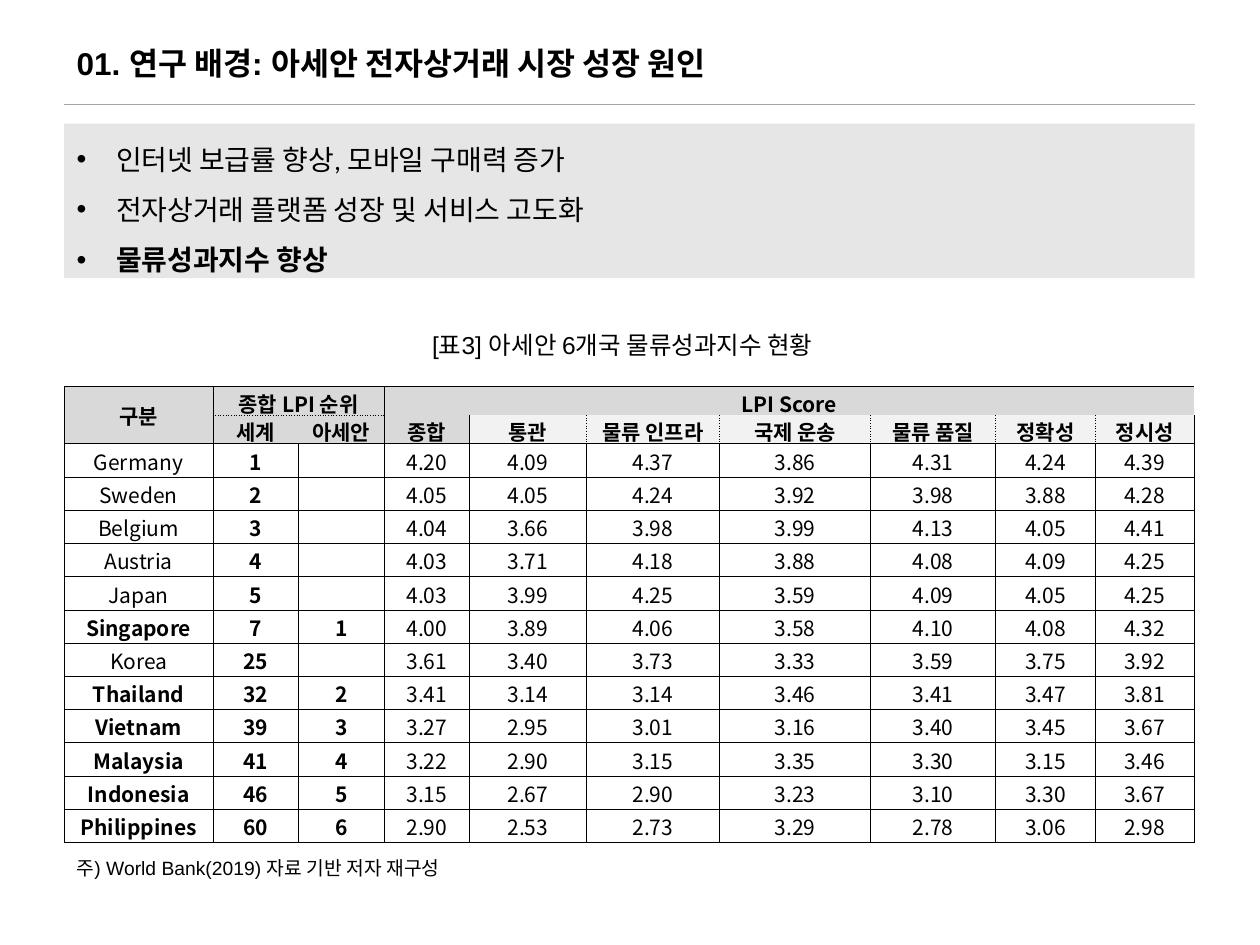
from lxml import etree
from pptx import Presentation
from pptx.dml.color import RGBColor
from pptx.enum.shapes import MSO_CONNECTOR, MSO_SHAPE
from pptx.enum.text import MSO_ANCHOR, MSO_AUTO_SIZE, PP_ALIGN
from pptx.oxml.ns import qn
from pptx.util import Pt

RECT, LINE = MSO_SHAPE.RECTANGLE, MSO_CONNECTOR.STRAIGHT
TOP, MID = MSO_ANCHOR.TOP, MSO_ANCHOR.MIDDLE
LEFT, MIDDLE = PP_ALIGN.LEFT, PP_ALIGN.CENTER
GROW = MSO_AUTO_SIZE.SHAPE_TO_FIT_TEXT

COLORS = {"ink": "000000", "rule": "A6A6A6", "panel": "E7E6E6",
          "head": "D9D9D9", "sub": "F2F2F2"}
CJK = "Noto Sans CJK KR"
EDGE, WIDE = 36.7, 646

POINTS = [("인터넷 보급률 향상, 모바일 구매력 증가", False),
          ("전자상거래 플랫폼 성장 및 서비스 고도화", False),
          ("물류성과지수 향상", True)]
COLS = [85, 48.9, 48.9, 48.9, 66.5, 76.4, 86.2, 71.6, 56.8, 56.8]
ROWS = [16.35] * 2 + [19] * 12
HEAD = [["구분", "종합 LPI 순위", "", "LPI Score"] + [""] * 6,
        ["", "세계", "아세안", "종합", "통관", "물류 인프라", "국제 운송",
         "물류 품질", "정확성", "정시성"]]
SPANS = [((0, 0), (1, 0)), ((0, 1), (0, 2)), ((0, 3), (0, 9))]
SCORES = """Germany 1 - 4.20 4.09 4.37 3.86 4.31 4.24 4.39
Sweden 2 - 4.05 4.05 4.24 3.92 3.98 3.88 4.28
Belgium 3 - 4.04 3.66 3.98 3.99 4.13 4.05 4.41
Austria 4 - 4.03 3.71 4.18 3.88 4.08 4.09 4.25
Japan 5 - 4.03 3.99 4.25 3.59 4.09 4.05 4.25
Singapore 7 1 4.00 3.89 4.06 3.58 4.10 4.08 4.32
Korea 25 - 3.61 3.40 3.73 3.33 3.59 3.75 3.92
Thailand 32 2 3.41 3.14 3.14 3.46 3.41 3.47 3.81
Vietnam 39 3 3.27 2.95 3.01 3.16 3.40 3.45 3.67
Malaysia 41 4 3.22 2.90 3.15 3.35 3.30 3.15 3.46
Indonesia 46 5 3.15 2.67 2.90 3.23 3.10 3.30 3.67
Philippines 60 6 2.90 2.53 2.73 3.29 2.78 3.06 2.98"""
DASH = {"s": "solid", "d": "sysDot"}
UPRIGHT = {0: "ss.s......s", 1: "ss.ssddddds"}
LEVEL = {1: ".dd......."}


def color(name):
    return RGBColor.from_string(COLORS[name])


def write(para, text, size=12, font=CJK, bold=False, align=LEFT):
    para.alignment = align
    if not text:
        para._p.get_or_add_endParaRPr().set("sz", str(size * 100))
        return
    run = para.add_run()
    run.text = text
    run.font.size, run.font.name, run.font.bold = Pt(size), font, bold
    run.font.color.rgb = color("ink")
    etree.SubElement(run._r.get_or_add_rPr(), qn("a:ea"), typeface=CJK)


class Deck:
    """Holds the style and the current slide."""

    def __init__(self):
        self.show = Presentation()
        self.show.slide_width, self.show.slide_height = Pt(720), Pt(540)
        self.slide = self.show.slides.add_slide(self.show.slide_layouts[6])
        self.shapes = self.slide.shapes

    def rule(self, left, top, width):
        line = self.shapes.add_connector(
            LINE, Pt(left), Pt(top), Pt(left + width), Pt(top))
        line.line.color.rgb, line.line.width = color("rule"), Pt(0.5)
        etree.SubElement(line._element.spPr, qn("a:effectLst"))

    def label(self, left, top, width, height, text, **style):
        box = self.shapes.add_textbox(Pt(left), Pt(top), Pt(width), Pt(height))
        frame = box.text_frame
        frame.word_wrap, frame.auto_size = True, GROW
        write(frame.paragraphs[0], text, font="Arial", **style)

    def panel(self, left, top, width, height, points):
        box = self.shapes.add_shape(
            RECT, Pt(left), Pt(top), Pt(width), Pt(height))
        box.shadow.inherit = False
        box.fill.solid()
        box.fill.fore_color.rgb = color("panel")
        box.line.fill.background()
        frame = box.text_frame
        frame.word_wrap, frame.vertical_anchor = True, MID
        for i, (text, bold) in enumerate(points):
            para = frame.add_paragraph() if i else frame.paragraphs[0]
            write(para, text, size=16, font="Calibri", bold=bold)
            para.line_spacing = 1.5
            props = para._p.get_or_add_pPr()
            props.set("marL", str(Pt(22.5)))
            props.set("indent", str(-Pt(22.5)))
            etree.SubElement(props, qn("a:buFont"), typeface="Arial")
            etree.SubElement(props, qn("a:buChar"), char="•")

    def border(self, cell, kinds):
        props = cell._tc.get_or_add_tcPr()
        for i, (side, kind) in enumerate(zip("LRTB", kinds)):
            line = etree.Element(qn("a:ln" + side), w=str(Pt(0.5)))
            if kind in DASH:
                fill = etree.SubElement(line, qn("a:solidFill"))
                etree.SubElement(fill, qn("a:srgbClr"), val=COLORS["ink"])
                etree.SubElement(line, qn("a:prstDash"), val=DASH[kind])
            else:
                etree.SubElement(line, qn("a:noFill"))
            props.insert(i, line)

    def table(self, left, top, data):
        grid = self.shapes.add_table(
            len(ROWS), len(COLS), Pt(left), Pt(top),
            Pt(sum(COLS)), Pt(sum(ROWS))).table
        grid.first_row = grid.horz_banding = False
        for col, width in zip(grid.columns, COLS):
            col.width = Pt(width)
        for row, height in zip(grid.rows, ROWS):
            row.height = Pt(height)
        for start, end in SPANS:
            grid.cell(*start).merge(grid.cell(*end))
        for r, row in enumerate(data):
            sides = UPRIGHT.get(r, "s" * 11)
            above, below = (LEVEL.get(n, "s" * 10) for n in (r, r + 1))
            for c, text in enumerate(row):
                cell = grid.cell(r, c)
                cell.margin_left = cell.margin_right = Pt(0.7)
                cell.margin_top, cell.margin_bottom = Pt(0.7), 0
                cell.vertical_anchor = TOP if (r, c) == (1, 3) else MID
                bold = r < 2 or c in (1, 2) or (c == 0 and row[2] != "")
                write(cell.text_frame.paragraphs[0], text,
                      bold=bold, align=MIDDLE)
                if r < 2:
                    cell.fill.solid()
                    shade = "sub" if r == 1 and c > 3 else "head"
                    cell.fill.fore_color.rgb = color(shade)
                else:
                    cell.fill.background()
                self.border(cell, (sides[c], sides[c + 1], above[c], below[c]))


def main():
    deck = Deck()
    body = [["" if part == "-" else part for part in line.split()]
            for line in SCORES.splitlines()]
    deck.rule(EDGE, 59.6, WIDE)
    deck.label(EDGE, 21.6, 419, 29, "01. 연구 배경: 아세안 전자상거래 시장 성장 원인",
               size=18, bold=True)
    deck.panel(EDGE, 70.6, WIDE, 88.4, POINTS)
    deck.label(146.2, 185, 419, 24.2, "[표3] 아세안 6개국 물류성과지수 현황",
               size=14, align=MIDDLE)
    deck.label(EDGE, 486, 323, 20.6, "주) World Bank(2019) 자료 기반 저자 재구성",
               size=11)
    deck.table(EDGE, 220.9, HEAD + body)
    deck.show.save("out.pptx")


if __name__ == "__main__":
    main()
